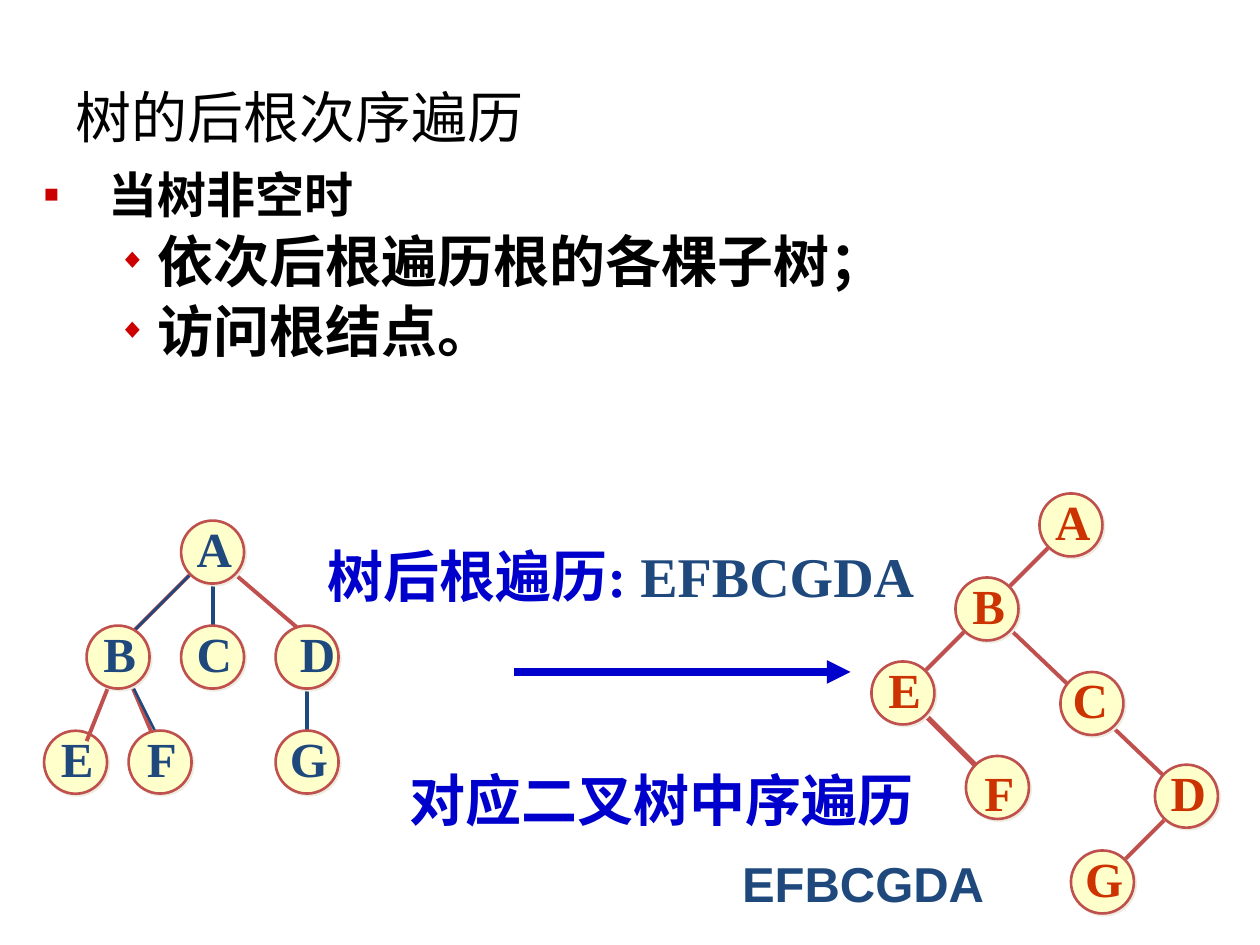
"""Build a slide on post-order traversal of a tree and its binary tree."""
import lxml.etree
import pptx
import pptx.dml.color
import pptx.enum.shapes
import pptx.enum.text
import pptx.oxml
import pptx.oxml.ns
import pptx.util

Pt = pptx.util.Pt
RGBColor = pptx.dml.color.RGBColor
Align = pptx.enum.text.PP_ALIGN
Anchor = pptx.enum.text.MSO_ANCHOR
AutoSize = pptx.enum.text.MSO_AUTO_SIZE
qn = pptx.oxml.ns.qn

COLORS = {"navy": "1F497D", "red": "C0504D", "orange": "CC3300", "blue": "0000CC",
          "cream": "FFFFCC", "black": "000000", "bullet": "CC0000", "shadow": "EEECE1"}
NODE_SIZE = 36
LABEL_WIDTHS = {"A": 34.5, "B": 33, "C": 34.5, "D": 34.5, "E": 33, "F": 31.5, "G": 36}

presentation = pptx.Presentation()
presentation.slide_width = Pt(720)
presentation.slide_height = Pt(540)
slide = presentation.slides.add_slide(presentation.slide_layouts[1])
shapes = slide.shapes


def add_text(paragraph, text, color, size, name="Times New Roman", bold=True):
    run = paragraph.add_run()
    run.text = text
    for attribute, value in {"size": Pt(size), "name": name, "bold": bold}.items():
        setattr(run.font, attribute, value)
    run.font.color.rgb = RGBColor.from_string(COLORS[color])


def add_node(letter, left, top, color, label_shift=(1, -5)):
    circle = shapes.add_shape(pptx.enum.shapes.MSO_SHAPE.OVAL,
                              Pt(left), Pt(top), Pt(NODE_SIZE), Pt(NODE_SIZE))
    circle.shadow.inherit = False
    circle.fill.solid()
    circle.fill.fore_color.rgb = RGBColor.from_string(COLORS["cream"])
    circle.line.color.rgb = RGBColor.from_string(COLORS["red"])
    circle.line.width = Pt(1.5)
    effects = circle.element.spPr.find(qn("a:effectLst"))
    shadow = lxml.etree.SubElement(effects, qn("a:outerShdw"), dist=str(Pt(1.4)), dir="2700000")
    lxml.etree.SubElement(shadow, qn("a:srgbClr"), val=COLORS["shadow"])

    width = LABEL_WIDTHS[letter]
    label = shapes.add_textbox(Pt(left + (NODE_SIZE - width) / 2 + label_shift[0]),
                               Pt(top + label_shift[1]), Pt(width), Pt(41))
    frame_format = {"word_wrap": False, "vertical_anchor": Anchor.MIDDLE,
                    "auto_size": AutoSize.SHAPE_TO_FIT_TEXT}
    for attribute, value in frame_format.items():
        setattr(label.text_frame, attribute, value)
    paragraph = label.text_frame.paragraphs[0]
    paragraph.alignment = Align.CENTER
    add_text(paragraph, letter, color, 28)


title, body = slide.placeholders
for placeholder, box in ((title, (36, 21.6, 648, 90)), (body, (18, 88.5, 636, 216))):
    for attribute, value in zip(("left", "top", "width", "height"), box):
        setattr(placeholder, attribute, Pt(value))
    placeholder.text_frame.auto_size = AutoSize.NONE

title.text_frame.vertical_anchor = Anchor.MIDDLE
title_paragraph = title.text_frame.paragraphs[0]
title_paragraph.alignment = Align.LEFT
add_text(title_paragraph, "树的后根次序遍历", "black", 32, "Calibri", False)

bullets = [("当树非空时", 0, 28, "■", 36.7, -36.7),
           ("依次后根遍历根的各棵子树；", 1, 32, "◆", 64.8, -22.3),
           ("访问根结点。", 1, 32, "◆", 64.8, -22.3)]
for index, (text, level, size, character, margin, indent) in enumerate(bullets):
    frame = body.text_frame
    paragraph = frame.add_paragraph() if index else frame.paragraphs[0]
    for attribute, value in {"level": level, "line_spacing": 1.05, "space_before": Pt(0)}.items():
        setattr(paragraph, attribute, value)
    properties = paragraph._p.get_or_add_pPr()
    properties.set("marL", str(Pt(margin)))
    properties.set("indent", str(Pt(indent)))
    bullet_color = lxml.etree.SubElement(properties, qn("a:buClr"))
    lxml.etree.SubElement(bullet_color, qn("a:srgbClr"), val=COLORS["bullet"])
    lxml.etree.SubElement(properties, qn("a:buSzPct"), val="50000")
    lxml.etree.SubElement(properties, qn("a:buChar"), char=character)
    add_text(paragraph, text, "black", size)

captions = [
    ((198, 432, 360, 47.5), True, Align.CENTER, 1.05,
     [("对应二叉树中序遍历", "blue", 32, "Times New Roman")]),
    ((180, 306, 366, 46), True, Align.LEFT, 1.0,
     [("树后根遍历: ", "blue", 32, "Times New Roman"),
      ("EFBCGDA", "navy", 32, "Times New Roman")]),
    ((417, 482.5, 152.5, 42.5), False, Align.LEFT, 1.05, [("EFBCGDA", "navy", 28, "Arial")]),
]
for box, wrap, alignment, spacing, runs in captions:
    caption = shapes.add_textbox(*map(Pt, box))
    caption.text_frame.word_wrap = wrap
    caption.text_frame.auto_size = AutoSize.SHAPE_TO_FIT_TEXT
    paragraph = caption.text_frame.paragraphs[0]
    paragraph.alignment = alignment
    paragraph.line_spacing = spacing
    for run_values in runs:
        add_text(paragraph, *run_values)

add_node("E", 25.2, 417.6, "navy")

lines = [
    (175.5, 387.5, 175.5, 423.5, "navy", 2.25),
    (73.5, 387.5, 91.5, 430, "red", 2.25),
    (61.5, 393.5, 49.5, 423.5, "red", 2.25),
    (133.5, 327.5, 175.5, 363.5, "red", 2.25),
    (121.5, 333.5, 121.5, 363.5, "navy", 2.25),
    (109.5, 327.5, 73.5, 363.5, "red", 2.25),
    (73.5, 387.5, 91.5, 423.5, "navy", 1.5),
    (109.5, 327.5, 73.5, 363.5, "navy", 1.5),
    (522, 402, 558, 438, "red", 3),
    (672, 462, 636, 498, "red", 2.25),
    (606, 306, 522, 390, "red", 2.25),
    (576, 358.5, 672, 450, "red", 2.25),
    (294, 384, 486, 384, "blue", 4.5),
]
for *points, color, width in lines:
    line = shapes.add_connector(pptx.enum.shapes.MSO_CONNECTOR.STRAIGHT, *map(Pt, points))
    line.line.color.rgb = RGBColor.from_string(COLORS[color])
    line.line.width = Pt(width)
    lxml.etree.SubElement(line.element.spPr, qn("a:effectLst"))
    if color == "blue":
        lxml.etree.SubElement(line.line._get_or_add_ln(), qn("a:tailEnd"), type="triangle")

tree_nodes = [("A", 103.5, 297.5), ("B", 49.5, 357.5), ("C", 103.5, 357.5),
              ("D", 157.5, 357.5, (6, -5)), ("F", 73.5, 417.5), ("G", 157.5, 417.5)]
binary_nodes = [("A", 594, 282), ("B", 546, 330), ("E", 498, 378), ("C", 606, 384, (-1, -5)),
                ("F", 552, 432, (1, 0)), ("D", 660, 437), ("G", 612, 486)]
for nodes, color in ((tree_nodes, "navy"), (binary_nodes, "orange")):
    for letter, left, top, *label_shift in nodes:
        add_node(letter, left, top, color, *label_shift)

presentation.save("out.pptx")
